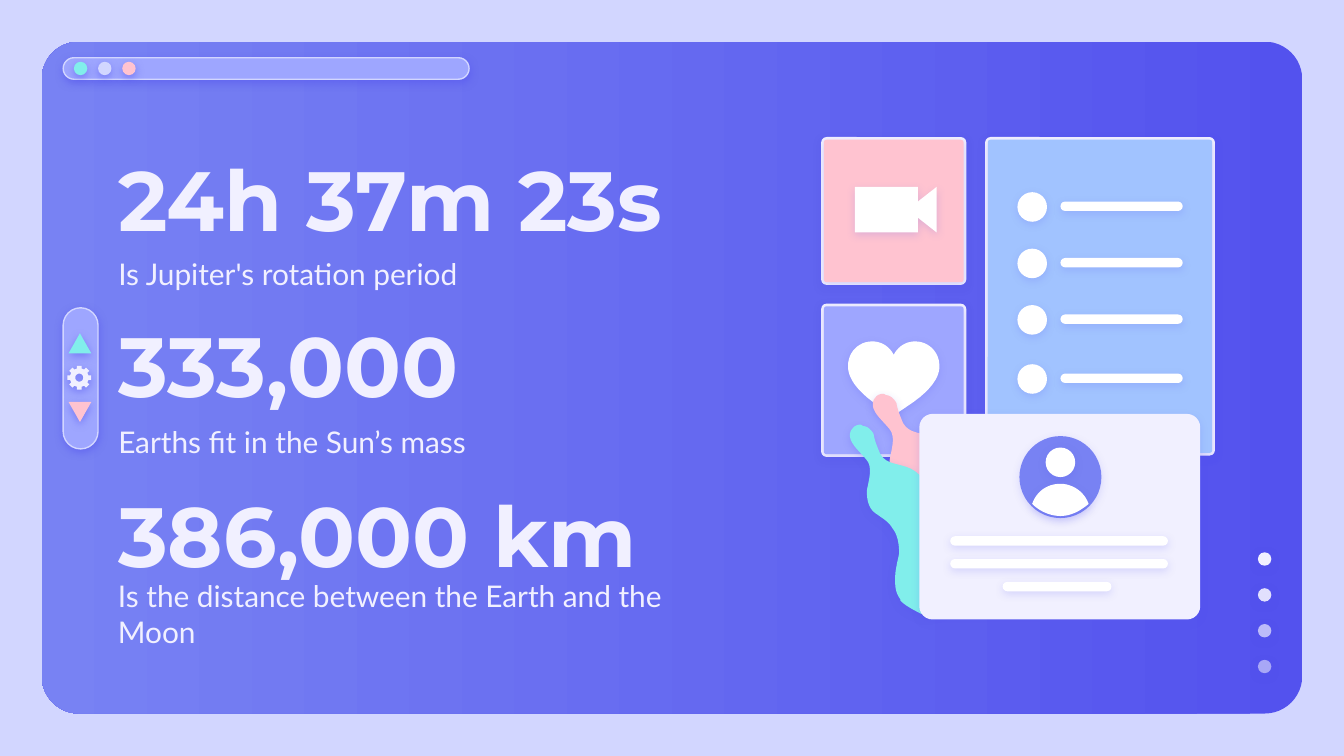
from math import cos, radians, sin

from lxml.etree import SubElement
from pptx import Presentation
from pptx.dml.color import RGBColor
from pptx.enum.shapes import MSO_SHAPE as Preset
from pptx.enum.text import MSO_ANCHOR as Anchor, MSO_AUTO_SIZE as AutoSize, PP_ALIGN as Align
from pptx.oxml.ns import qn
from pptx.util import Inches, Pt

LAVENDER = RGBColor(0xD2, 0xD6, 0xFF)
PERIWINKLE = RGBColor(0x9E, 0xA6, 0xFF)
INDIGO = RGBColor(0x53, 0x52, 0xEE)
VIOLET = RGBColor(0x78, 0x82, 0xF3)
AQUA = RGBColor(0x81, 0xEE, 0xEB)
PINK = RGBColor(0xFF, 0xC3, 0xD0)
SKY = RGBColor(0xA1, 0xC3, 0xFF)
PALE = RGBColor(0xF1, 0xF0, 0xFF)
WHITE = RGBColor(0xFF, 0xFF, 0xFF)

FACTS = [
    ("24h 37m 23s", 1.23, "Is Jupiter's rotation period", 1.87),
    ("333,000", 2.47, "Earths fit in the Sun’s mass", 3.12),
    ("386,000 km", 3.73, "Is the distance between the Earth and the Moon", 4.4),
]
WINDOW_DOTS = [AQUA, LAVENDER, PINK]
PAGE_DOT_OPACITY = [100, 90, 67, 54]
LIST_ROWS = [1.54, 1.96, 2.38, 2.82]
PROFILE_LINES = [(7.07, 3.99, 1.62), (7.07, 4.16, 1.62), (7.46, 4.33, 0.81)]

# Outline steps hold two numbers for a line and six for a curve.
HEART = [
    (6.49, 2.54), (6.39, 2.54, 6.31, 2.62, 6.31, 2.72),
    (6.31, 2.76, 6.31, 2.87, 6.55, 3.03), (6.65, 3.09), (6.74, 3.03),
    (6.99, 2.87, 6.99, 2.76, 6.99, 2.72), (6.99, 2.62, 6.91, 2.54, 6.81, 2.54),
    (6.74, 2.54, 6.68, 2.58, 6.65, 2.64), (6.62, 2.58, 6.56, 2.54, 6.49, 2.54),
]
SPLASH = [
    (6.4, 3.16), (6.38, 3.16, 6.36, 3.17, 6.35, 3.18),
    (6.26, 3.27, 6.42, 3.37, 6.46, 3.44), (6.49, 3.5, 6.46, 3.59, 6.45, 3.65),
    (6.45, 3.72, 6.46, 3.79, 6.53, 3.83), (6.57, 3.86, 6.61, 3.88, 6.64, 3.93),
    (6.68, 3.98, 6.69, 4.05, 6.69, 4.12), (6.68, 4.17, 6.66, 4.24, 6.66, 4.31),
    (6.66, 4.35, 6.66, 4.41, 6.7, 4.46), (6.7, 4.47),
    (6.74, 4.51, 6.8, 4.54, 6.84, 4.56), (6.85, 4.57, 6.87, 4.57, 6.88, 4.57),
    (6.92, 4.57, 6.96, 4.56, 6.99, 4.55), (7.08, 4.52, 7.18, 4.46, 7.22, 4.36),
    (7.29, 4.21, 7.23, 4.02, 7.1, 3.93), (7.06, 3.9, 7.02, 3.88, 6.99, 3.84),
    (6.93, 3.79, 6.92, 3.68, 6.89, 3.61), (6.8, 3.41, 6.62, 3.5, 6.55, 3.38),
    (6.53, 3.33, 6.51, 3.29, 6.5, 3.23), (6.49, 3.21, 6.46, 3.17, 6.42, 3.17),
    (6.41, 3.16, 6.4, 3.16, 6.4, 3.16),
]
SHOULDERS = [
    (7.89, 3.6), (7.79, 3.6, 7.71, 3.66, 7.68, 3.75),
    (7.73, 3.8, 7.81, 3.84, 7.89, 3.84), (7.97, 3.84, 8.04, 3.8, 8.1, 3.75),
    (8.07, 3.66, 7.98, 3.6, 7.89, 3.6),
]
CAMERA = [(6.36, 1.39), (6.36, 1.73), (6.83, 1.73), (6.83, 1.62),
          (6.97, 1.73), (6.97, 1.39), (6.83, 1.5), (6.83, 1.39)]

presentation = Presentation()
presentation.slide_width = Inches(10)
presentation.slide_height = presentation.slide_width * 9 // 16
slide = presentation.slides.add_slide(presentation.slide_layouts.get_by_name("Comparison"))
slide.background.fill.solid()
slide.background.fill.fore_color.rgb = LAVENDER
shapes = slide.shapes


def style(shape, color, shadow=16, border=None, opacity=100):
    shape.shadow.inherit = False
    shape.fill.solid()
    shape.fill.fore_color.rgb = color
    properties = shape.element.spPr
    if opacity < 100:
        fill_color = properties.find(qn("a:solidFill")).find(qn("a:srgbClr"))
        SubElement(fill_color, qn("a:alpha"), val=str(opacity * 1000))
    if border:
        shape.line.color.rgb = border
        shape.line.width = Pt(0.75)
    else:
        shape.line.fill.background()
    if shadow:
        outer = SubElement(properties.find(qn("a:effectLst")), qn("a:outerShdw"),
                           blurRad=str(Pt(4.5)), dist=str(Pt(1.5)), dir="5400000",
                           algn="bl", rotWithShape="0")
        shadow_color = SubElement(outer, qn("a:srgbClr"), val=str(INDIGO))
        SubElement(shadow_color, qn("a:alpha"), val=str(shadow * 1000))
    return shape


def add_preset(preset, left, top, width, height, color, **look):
    box = map(Inches, (left, top, width, height))
    return style(shapes.add_shape(preset, *box), color, **look)


def add_rounded(left, top, width, height, radius, color, **look):
    shape = add_preset(Preset.ROUNDED_RECTANGLE, left, top, width, height, color, **look)
    shape.adjustments[0] = radius / min(width, height)
    return shape


def add_pill(left, top, width, height, color, **look):
    return add_rounded(left, top, width, height, min(width, height) / 2, color, **look)


def add_circle(center_x, center_y, size, color, **look):
    return add_preset(Preset.OVAL, center_x - size / 2, center_y - size / 2,
                      size, size, color, **look)


def add_framed_card(left, top, width, height, color):
    add_rounded(left, top, width, height, 0.04, PALE)
    add_rounded(left + 0.02, top + 0.02, width - 0.04, height - 0.04, 0.02, color)


def flatten(outline, steps=12):
    points = [outline[0]]
    for step in outline[1:]:
        if len(step) == 2:
            points.append(step)
            continue
        controls = [points[-1], step[:2], step[2:4], step[4:]]
        for number in range(1, steps + 1):
            t = number / steps
            weights = ((1 - t) ** 3, 3 * t * (1 - t) ** 2, 3 * t * t * (1 - t), t ** 3)
            points.append(tuple(sum(w * p[axis] for w, p in zip(weights, controls))
                                for axis in (0, 1)))
    return points


def add_outline(contours, color, **look):
    contours = [[(Inches(x), Inches(y)) for x, y in contour] for contour in contours]
    builder = shapes.build_freeform(*contours[0][0])
    builder.add_line_segments(contours[0][1:], close=True)
    for contour in contours[1:]:
        builder.move_to(*contour[0])
        builder.add_line_segments(contour[1:], close=True)
    return style(builder.convert_to_shape(), color, **look)


def polar(center_x, center_y, radius, angle):
    return (center_x + radius * cos(radians(angle)), center_y + radius * sin(radians(angle)))


def write(shape, text, top, height, size, font, bold=False):
    shapes._spTree.append(shape.element)
    shape.left, shape.top, shape.width, shape.height = map(Inches, (0.78, top, 4.33, height))
    frame = shape.text_frame
    frame.word_wrap, frame.auto_size = True, AutoSize.NONE
    frame.vertical_anchor = Anchor.MIDDLE
    frame.margin_left = frame.margin_right = frame.margin_top = frame.margin_bottom = Inches(0.1)
    paragraph = frame.paragraphs[0]
    paragraph.text = text
    properties = paragraph._p.get_or_add_pPr()
    properties.set("marL", "0")
    properties.set("indent", "0")
    SubElement(properties, qn("a:buNone"))
    paragraph.alignment = Align.LEFT
    paragraph.space_before = Pt(0)
    run_font = paragraph.runs[0].font
    run_font.name, run_font.size, run_font.bold = font, Pt(size), bold
    run_font.color.rgb = PALE


panel = add_rounded(0.31, 0.31, 9.38, 5, 0.28, INDIGO, shadow=0)
panel.fill.gradient()
panel.fill.gradient_angle = 180
for stop, color in zip(panel.fill.gradient_stops, (INDIGO, VIOLET)):
    stop.color.rgb = color

add_pill(0.47, 0.43, 3.02, 0.16, PERIWINKLE, shadow=50, border=LAVENDER)
for index, color in enumerate(WINDOW_DOTS):
    add_circle(0.6 + 0.18 * index, 0.51, 0.1, color, shadow=50)
for index, opacity in enumerate(PAGE_DOT_OPACITY):
    add_circle(9.41, 4.16 + 0.8 / 3 * index, 0.1, PALE, shadow=50, opacity=opacity)

text_shapes = list(slide.placeholders)
text_shapes.append(shapes.add_textbox(0, 0, Inches(4.33), Inches(0.33)))
for index, (figure, figure_top, caption, caption_top) in enumerate(FACTS):
    headline, subtitle = text_shapes[2 * index:2 * index + 2]
    write(headline, figure, figure_top, 0.48, 45, "Montserrat", bold=True)
    write(subtitle, caption, caption_top, 0.33, 16, "Lato")

add_framed_card(6.11, 2.26, 1.08, 1.14, PERIWINKLE)
add_outline([flatten(HEART)], WHITE)
splash = flatten(SPLASH)
add_outline([[(x + 0.17, y - 0.23) for x, y in splash]], PINK, shadow=22)
add_outline([splash], AQUA, shadow=22)

add_framed_card(7.33, 1.02, 1.71, 2.37, SKY)
for center_y in LIST_ROWS:
    add_circle(7.68, center_y, 0.22, WHITE)
    add_pill(7.89, center_y - 0.04, 0.91, 0.07, WHITE)

add_rounded(6.84, 3.08, 2.09, 1.53, 0.1, PALE)
for left, top, width in PROFILE_LINES:
    add_pill(left, top, width, 0.07, WHITE)
add_circle(7.89, 3.55, 0.61, VIOLET)
add_circle(7.89, 3.44, 0.22, WHITE)
add_outline([flatten(SHOULDERS)], WHITE)

add_framed_card(6.11, 1.02, 1.08, 1.1, PINK)
add_outline([CAMERA], WHITE)

add_pill(0.47, 2.29, 0.26, 1.05, PERIWINKLE, shadow=50, border=LAVENDER)
add_preset(Preset.ISOSCELES_TRIANGLE, 0.51, 2.48, 0.17, 0.15, AQUA, shadow=50)
down_arrow = add_preset(Preset.ISOSCELES_TRIANGLE, 0.51, 2.99, 0.17, 0.15, PINK, shadow=50)
down_arrow.rotation = 180
teeth = [polar(0.59, 2.81, radius, 45 * tooth + offset) for tooth in range(8)
         for radius, offset in ((0.07, -14), (0.09, -11), (0.09, 11), (0.07, 14))]
hole = [polar(0.59, 2.81, 0.03, -15 * step) for step in range(24)]
add_outline([teeth, hole], PALE, shadow=52)

presentation.save("out.pptx")
